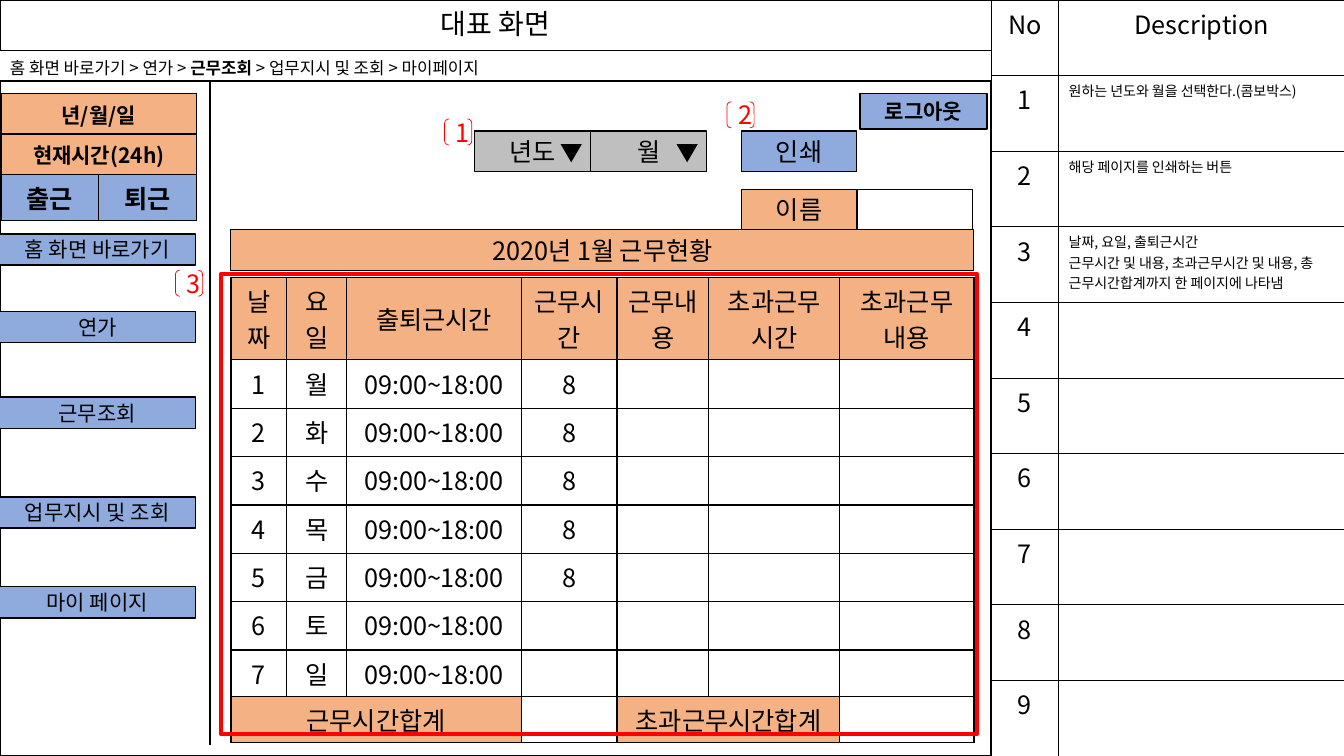
from lxml.etree import SubElement
from pptx import Presentation
from pptx.dml.color import RGBColor
from pptx.enum.shapes import MSO_CONNECTOR, MSO_SHAPE
from pptx.enum.text import MSO_ANCHOR, PP_ALIGN
from pptx.oxml.ns import qn
from pptx.util import Inches, Pt

BLACK = RGBColor(0, 0, 0)
WHITE = RGBColor(255, 255, 255)
RED = RGBColor(255, 0, 0)
ORANGE = RGBColor(0xF4, 0xB1, 0x83)
BLUE = RGBColor(0x8F, 0xAA, 0xDC)
GRAY = RGBColor(0xBF, 0xBF, 0xBF)
FONT = "Noto Sans CJK KR"

TITLE = "대표 화면"
BREADCRUMB = [("홈 화면 바로가기 > 연가 > ", False), ("근무조회 ", True),
              ("> 업무지시 및 조회 > 마이페이지 ", False)]
NOTES = ["원하는 년도와 월을 선택한다.(콤보박스)",
         "해당 페이지를 인쇄하는 버튼",
         "날짜, 요일, 출퇴근시간\n근무시간 및 내용, 초과근무시간 및 내용, 총 근무시간합계까지 한 페이지에 나타냄"]
NOTE_ROWS = 9
CLOCK = [["년/월/일", ""], ["현재시간(24h)", ""], ["출근", "퇴근"]]
MENU = [("홈 화면 바로가기", 2.32), ("연가", 3.09), ("근무조회", 3.94),
        ("업무지시 및 조회", 4.93), ("마이 페이지", 5.82)]
HEADINGS = ["날짜", "요일", "출퇴근시간", "근무시간", "근무내용", "초과근무시간", "초과근무내용"]
WEEKDAYS = "월화수목금토일"
WORKDAYS = 5
TOTALS = ["근무시간합계", "", "", "", "초과근무시간합계", "", ""]
MARKERS = [("1", 4.41, 1.18), ("2", 7.21, 1.01), ("3", 1.74, 2.68)]

PAGE_WIDTH, PAGE_HEIGHT = 13.33, 7.5
MAIN_WIDTH = 9.83
TITLE_HEIGHT, BAR_HEIGHT = 0.5, 0.3
BODY_TOP = 0.81
SHEET_LEFT, SHEET_TOP, SHEET_WIDTH = 2.29, 2.75, 7.37
BUTTON_WIDTH, BUTTON_HEIGHT = 1.15, 0.4
BUTTON_TOP, NAME_TOP = 1.3, 1.88
YEAR_LEFT, PRINT_LEFT = 4.71, 7.35


def style(para, size, color=BLACK, bold=False, align=PP_ALIGN.CENTER):
    para.alignment = align
    font = para.font
    font.name, font.size, font.bold = FONT, Pt(size), bold
    font.color.rgb = color
    SubElement(para._p.pPr.find(qn("a:defRPr")), qn("a:ea"), typeface=FONT)


def write(frame, text, size, **look):
    frame.text = text
    for para in frame.paragraphs:
        style(para, size, **look)


def add_box(left, top, width, height, text="", size=18, fill=None, line=0.75,
            line_color=BLACK, shape=MSO_SHAPE.RECTANGLE, **look):
    box = page.shapes.add_shape(shape, Inches(left), Inches(top), Inches(width), Inches(height))
    box.shadow.inherit = False
    if fill is None:
        box.fill.background()
    else:
        box.fill.solid()
        box.fill.fore_color.rgb = fill
    if line:
        box.line.color.rgb = line_color
        box.line.width = Pt(line)
    else:
        box.line.fill.background()
    if text:
        box.text_frame.vertical_anchor = MSO_ANCHOR.MIDDLE
        write(box.text_frame, text, size, **look)
    return box


def add_border(cell, width):
    properties = cell._tc.get_or_add_tcPr()
    for side in ("a:lnL", "a:lnR", "a:lnT", "a:lnB"):
        edge = SubElement(properties, qn(side), w=str(Pt(width)))
        paint = SubElement(edge, qn("a:solidFill"))
        SubElement(paint, qn("a:srgbClr"), val=str(BLACK))


def add_grid(left, top, columns, rows, texts, border, look):
    frame = page.shapes.add_table(len(rows), len(columns), Inches(left), Inches(top),
                                  Inches(sum(columns)), Inches(sum(rows)))
    grid = frame.table
    grid.first_row = grid.horz_banding = False
    for column, width in zip(grid.columns, columns):
        column.width = Inches(width)
    for row, height in zip(grid.rows, rows):
        row.height = Inches(height)
    for r, line in enumerate(texts):
        for c, text in enumerate(line):
            cell = grid.cell(r, c)
            fill, size, options = look(r, c)
            add_border(cell, border)
            if fill is None:
                cell.fill.background()
            else:
                cell.fill.solid()
                cell.fill.fore_color.rgb = fill
            write(cell.text_frame, text, size, **options)
    return grid


def note_look(r, c):
    if r and c:
        return None, 10, {"align": PP_ALIGN.LEFT}
    return None, 18, {}


def clock_look(r, c):
    return (BLUE, 18, {"bold": True}) if r == 2 else (ORANGE, 15, {"bold": True})


def sheet_look(r, c):
    total = r == len(WEEKDAYS) + 1 and c not in (3, 6)
    return ORANGE if r == 0 or total else None, 18, {}


deck = Presentation()
deck.slide_width, deck.slide_height = Inches(PAGE_WIDTH), Inches(PAGE_HEIGHT)
page = deck.slides.add_slide(deck.slide_layouts[5])

add_box(0, BODY_TOP, MAIN_WIDTH, PAGE_HEIGHT - BODY_TOP, fill=WHITE, line=1)
title = page.shapes.title
title.left, title.top = 0, 0
title.width, title.height = Inches(MAIN_WIDTH), Inches(TITLE_HEIGHT)
title.line.color.rgb = BLACK
title.line.width = Pt(0.75)
title.text_frame.vertical_anchor = MSO_ANCHOR.MIDDLE
write(title.text_frame, TITLE, 20)
title.text_frame.paragraphs[0].line_spacing = 0.9

notes = [["No", "Description"]]
for number in range(1, NOTE_ROWS + 1):
    notes.append([str(number), NOTES[number - 1] if number <= len(NOTES) else ""])
add_grid(MAIN_WIDTH, 0, [0.67, 2.84], [PAGE_HEIGHT / len(notes)] * len(notes),
         notes, 0.5, note_look)

add_box(0, TITLE_HEIGHT, MAIN_WIDTH, BAR_HEIGHT)
trail = page.shapes.add_textbox(0, Inches(0.52), Inches(6.14), Inches(BAR_HEIGHT))
trail.text_frame.word_wrap = True
para = trail.text_frame.paragraphs[0]
style(para, 12, align=PP_ALIGN.LEFT)
for text, bold in BREADCRUMB:
    span = para.add_run()
    span.text = text
    span.font.bold = bold

clock = add_grid(0.01, 0.93, [0.97, 0.97], [0.4, 0.4, 0.46], CLOCK, 1, clock_look)
for r in (0, 1):
    clock.cell(r, 0).merge(clock.cell(r, 1))
for text, top in MENU:
    add_box(-0.01, top, 1.95, 0.31, text, 15, BLUE, 1)

divider = page.shapes.add_connector(MSO_CONNECTOR.STRAIGHT, Inches(2.08), Inches(BODY_TOP),
                                    Inches(2.08), Inches(7.39))
divider.line.color.rgb = BLACK
divider.line.width = Pt(1.5)
SubElement(divider._element.spPr, qn("a:effectLst"))

days = [[str(number), day, "09:00~18:00", "8" if number <= WORKDAYS else "", "", "", ""]
        for number, day in enumerate(WEEKDAYS, 1)]
sheet = add_grid(SHEET_LEFT, SHEET_TOP, [0.55, 0.6, 1.73, 0.95, 0.91, 1.3, 1.33],
                 [0.82] + [0.48] * 6 + [0.46] * 2, [HEADINGS] + days + [TOTALS], 1, sheet_look)
sheet.cell(0, 2).vertical_anchor = MSO_ANCHOR.MIDDLE
total_row = len(days) + 1
sheet.cell(total_row, 0).merge(sheet.cell(total_row, 2))
sheet.cell(total_row, 4).merge(sheet.cell(total_row, 5))

add_box(SHEET_LEFT, NAME_TOP + BUTTON_HEIGHT, SHEET_WIDTH, BUTTON_HEIGHT,
        "2020년 1월 근무현황", fill=ORANGE)
add_box(2.19, 2.72, 7.5, 4.56, line=3, line_color=RED)
add_box(8.53, 0.93, 1.26, 0.35, "로그아웃", 15, BLUE, 1, bold=True)
add_box(PRINT_LEFT, BUTTON_TOP, BUTTON_WIDTH, BUTTON_HEIGHT, "인쇄", fill=BLUE)
add_box(PRINT_LEFT, NAME_TOP, BUTTON_WIDTH, BUTTON_HEIGHT, "이름", fill=ORANGE)
add_box(PRINT_LEFT + BUTTON_WIDTH, NAME_TOP, BUTTON_WIDTH, BUTTON_HEIGHT)
for index, text in enumerate(["년도", "월"]):
    left = YEAR_LEFT + index * BUTTON_WIDTH
    add_box(left, BUTTON_TOP, BUTTON_WIDTH, BUTTON_HEIGHT, text, fill=GRAY)
    arrow = add_box(left + 0.85, 1.43, 0.21, 0.18, fill=BLACK, line=0,
                    shape=MSO_SHAPE.ISOSCELES_TRIANGLE)
    arrow.rotation = 180
for text, left, top in MARKERS:
    add_box(left, top, 0.27, 0.26, text, line=0.5, line_color=RED,
            shape=MSO_SHAPE.DOUBLE_BRACKET, color=RED)

deck.save("out.pptx")
